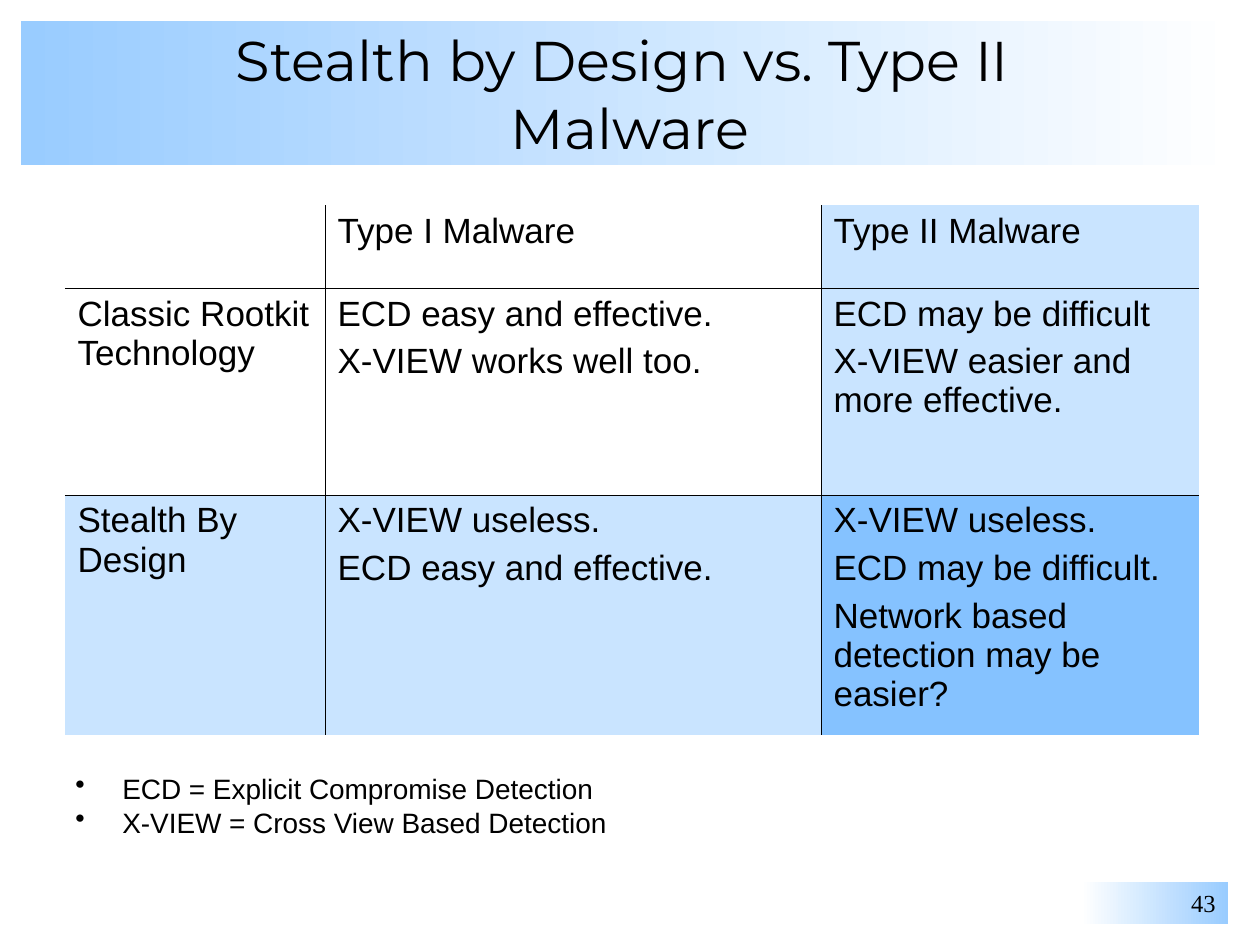
from dataclasses import dataclass

from lxml import etree
from pptx import Presentation
from pptx import util as u
from pptx.dml.color import RGBColor
from pptx.enum import shapes, text
from pptx.oxml.ns import qn

EMU_PER_PX = 914400 / 126


@dataclass(frozen=True)
class Theme:
    black: str = "000000"
    white: str = "FFFFFF"
    band: str = "99CCFF"
    light: str = "C9E4FF"
    strong: str = "85C2FF"
    title_font: str = "Montserrat"
    body_font: str = "Arial"
    number_font: str = "Times New Roman"
    title_size: int = 32
    table_size: int = 20
    legend_size: int = 16
    number_size: int = 14
    border: float = 0.45


THEME = Theme()

COLUMN_WIDTHS = [260, 496, 378]
ROW_HEIGHTS = [83, 207, 240]
ROWS = [
    [[], ["Type I Malware"], ["Type II Malware"]],
    [
        ["Classic Rootkit Technology"],
        ["ECD easy and effective.", "X-VIEW works well too."],
        ["ECD may be difficult", "X-VIEW easier and more effective."],
    ],
    [
        ["Stealth By Design"],
        ["X-VIEW useless.", "ECD easy and effective."],
        ["X-VIEW useless.", "ECD may be difficult.",
         "Network based detection may be easier?"],
    ],
]
LEGEND = [
    "ECD = Explicit Compromise Detection",
    "X-VIEW = Cross View Based Detection",
]


def px(length):
    return u.Emu(round(length * EMU_PER_PX))


def box(*lengths):
    return [px(length) for length in lengths]


def style(paragraph, font, size, align=text.PP_ALIGN.LEFT):
    paragraph.alignment = align
    paragraph.font.name = font
    paragraph.font.size = u.Pt(size)
    paragraph.font.color.rgb = RGBColor.from_string(THEME.black)


def write_lines(frame, lines, gap):
    """Fill a text frame with one paragraph per line and yield each one."""
    for index, line in enumerate(lines):
        paragraph = frame.add_paragraph() if index else frame.paragraphs[0]
        paragraph.text = line
        if index:
            paragraph.space_before = u.Pt(gap)
        yield paragraph


def add_band(slide, place, colors, words, font, size, align):
    """Rectangle with a horizontal gradient, colors given right to left."""
    shape = slide.shapes.add_shape(shapes.MSO_SHAPE.RECTANGLE, *box(*place))
    shape.shadow.inherit = False
    shape.line.fill.background()
    shape.fill.gradient()
    shape.fill.gradient_angle = 180
    for stop, color in zip(shape.fill.gradient_stops, colors):
        stop.color.rgb = RGBColor.from_string(color)
    frame = shape.text_frame
    frame.word_wrap = True
    frame.vertical_anchor = text.MSO_ANCHOR.MIDDLE
    frame.paragraphs[0].text = words
    style(frame.paragraphs[0], font, size, align)


def set_borders(cell, visible):
    """Draw the sides that are flagged in visible and clear the others."""
    properties = cell._tc.get_or_add_tcPr()
    for side, shown in visible.items():
        line = etree.SubElement(properties, qn(f"a:ln{side}"),
                                w=str(u.Pt(THEME.border)))
        if shown:
            fill = etree.SubElement(line, qn("a:solidFill"))
            etree.SubElement(fill, qn("a:srgbClr"), val=THEME.black)
        else:
            etree.SubElement(line, qn("a:noFill"))


def add_comparison(slide, left, top):
    last_row, last_column = len(ROWS) - 1, len(COLUMN_WIDTHS) - 1
    shape = slide.shapes.add_table(
        len(ROWS), len(COLUMN_WIDTHS),
        *box(left, top, sum(COLUMN_WIDTHS), sum(ROW_HEIGHTS)))
    table = shape.table
    table.first_row = table.horz_banding = False
    for column, width in zip(table.columns, COLUMN_WIDTHS):
        column.width = px(width)
    for row, height in zip(table.rows, ROW_HEIGHTS):
        row.height = px(height)

    # The last row and last column are each one shade darker
    shades = [THEME.white, THEME.light, THEME.strong]
    for r, row in enumerate(ROWS):
        for c, lines in enumerate(row):
            cell = table.cell(r, c)
            set_borders(cell, {"L": c > 0, "R": c < last_column,
                               "T": r > 0, "B": r < last_row})
            cell.fill.solid()
            shade = shades[(r == last_row) + (c == last_column)]
            cell.fill.fore_color.rgb = RGBColor.from_string(shade)
            for paragraph in write_lines(cell.text_frame, lines, 5):
                style(paragraph, THEME.body_font, THEME.table_size)


def add_legend(slide, place, indent):
    frame = slide.shapes.add_textbox(*box(*place)).text_frame
    frame.word_wrap = False
    frame.auto_size = text.MSO_AUTO_SIZE.SHAPE_TO_FIT_TEXT
    for paragraph in write_lines(frame, LEGEND, 4):
        paragraph.line_spacing = 0.8
        properties = paragraph._p.get_or_add_pPr()
        properties.set("marL", str(px(indent)))
        properties.set("indent", str(-px(indent)))
        etree.SubElement(properties, qn("a:buChar"), char="•")
        style(paragraph, THEME.body_font, THEME.legend_size)


def main():
    presentation = Presentation()
    presentation.slide_width, presentation.slide_height = box(1260, 945)
    slide = presentation.slides.add_slide(presentation.slide_layouts[6])

    # Title band
    add_band(slide, (21, 21, 1218, 144), (THEME.white, THEME.band),
             "Stealth by Design vs. Type II \vMalware",
             THEME.title_font, THEME.title_size, text.PP_ALIGN.CENTER)

    # Comparison table and its abbreviations
    add_comparison(slide, 65, 205)
    add_legend(slide, (63, 772, 557, 74), 47)

    # Page number
    add_band(slide, (1081, 882, 147, 42), (THEME.band, THEME.white), "43",
             THEME.number_font, THEME.number_size, text.PP_ALIGN.RIGHT)

    presentation.save("out.pptx")


if __name__ == "__main__":
    main()
